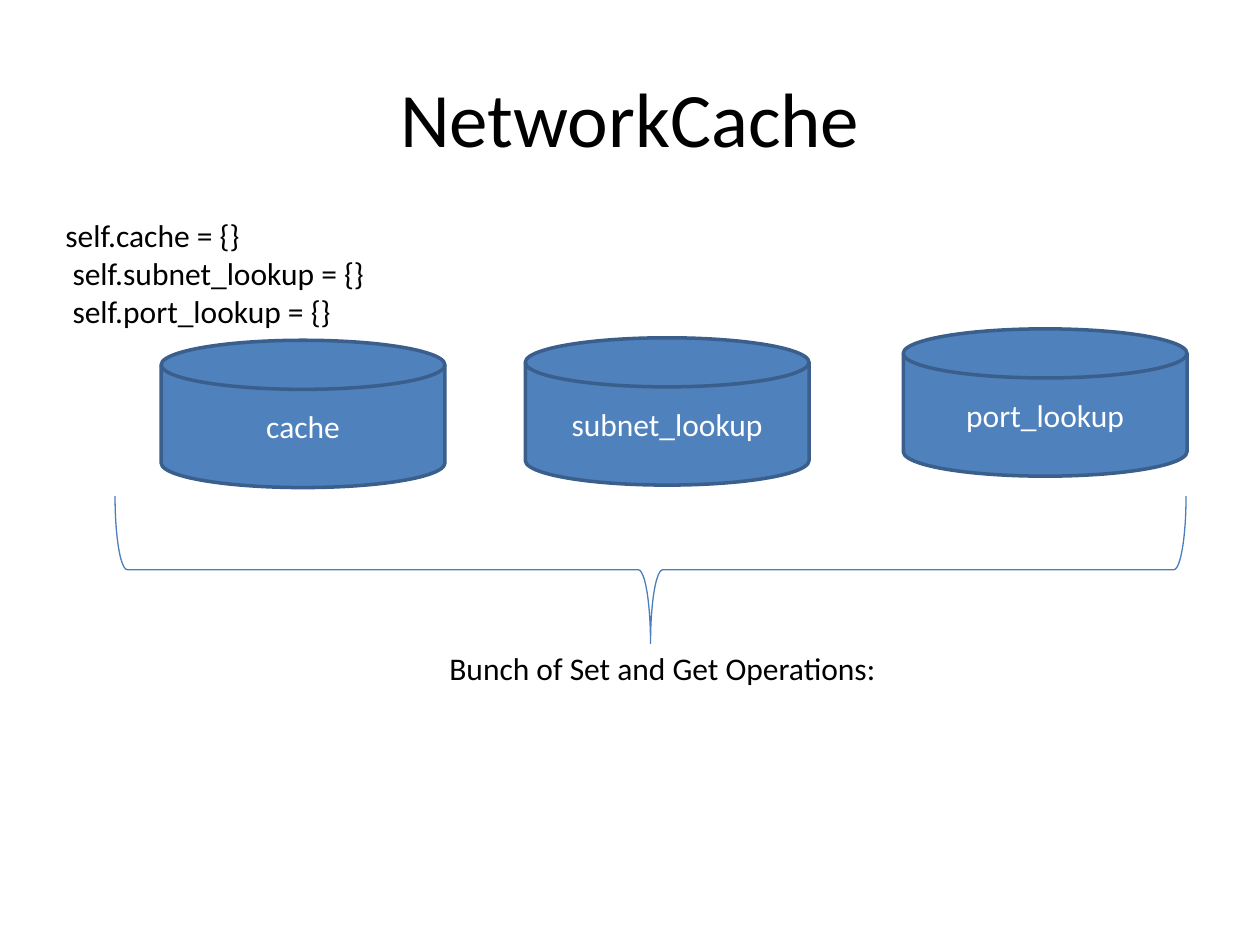
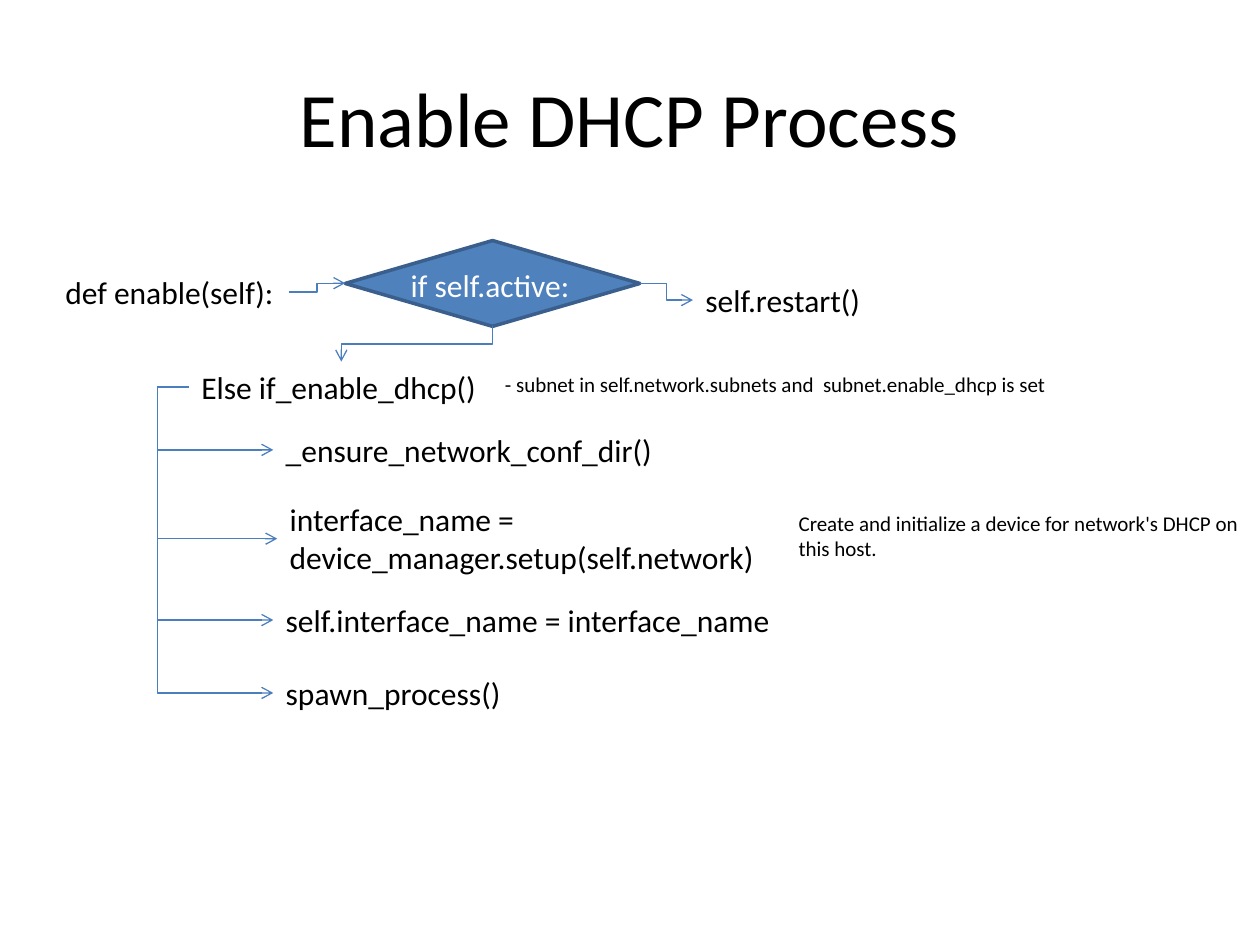
from lxml import etree
from pptx import Presentation
from pptx import util as u
from pptx.dml import color
from pptx.enum import shapes, text
from pptx.oxml import ns

WIDTH, HEIGHT = 25.4, 19.05
ROW = 1.02  # height of a one-line label
KIND = shapes.MSO_SHAPE


def tint(code):
    """Turn a hex string into a colour."""
    return color.RGBColor.from_string(code)


def apply(target, values):
    """Set each attribute named in a dict."""
    for name, value in values.items():
        setattr(target, name, value)


def child(parent, tag, **attrs):
    """Append an XML element with the given attributes."""
    return etree.SubElement(parent, ns.qn(tag), **attrs)


class Deck:
    """Holds the shared style and the current slide."""

    ink, white, fill, edge, wire = "000000", "FFFFFF", "4F81BD", "3A5F8C", "4B7EBC"
    face = "Calibri"

    def __init__(self):
        """Start an empty deck."""
        self.file = Presentation()
        apply(self.file, {"slide_width": u.Cm(WIDTH), "slide_height": u.Cm(HEIGHT)})

    def page(self, title):
        """Add a blank slide with its title."""
        self.slide = self.file.slides.add_slide(self.file.slide_layouts[6])
        self.place = self.slide.shapes
        box = self.place.add_textbox(*map(u.Cm, (1.27, 0.76, 22.86, 3.18)))
        self.letter(box, title, size=44, centre=True)

    def letter(self, shape, words, size=18, ink=ink, centre=False, **frame):
        """Fill a shape with styled text, one paragraph per line."""
        body = shape.text_frame
        middle = text.MSO_ANCHOR.MIDDLE if centre else text.MSO_ANCHOR.TOP
        apply(body, {"text": words, "word_wrap": True, "vertical_anchor": middle, **frame})
        for para in body.paragraphs:
            para.alignment = text.PP_ALIGN.CENTER if centre else text.PP_ALIGN.LEFT
            apply(para.font, {"size": u.Pt(size), "name": self.face})
            para.font.color.rgb = tint(ink)

    def label(self, words, x, y, w, h=ROW, wrap=False, **style):
        """Add a text box that grows with its text."""
        box = self.place.add_textbox(*map(u.Cm, (x, y, w, h)))
        self.letter(box, words, word_wrap=wrap,
                    auto_size=text.MSO_AUTO_SIZE.SHAPE_TO_FIT_TEXT, **style)

    def block(self, kind, x, y, w, h, words=""):
        """Add a filled shape with an optional centred caption."""
        shape = self.place.add_shape(kind, *map(u.Cm, (x, y, w, h)))
        shape.shadow.inherit = False
        shape.fill.solid()
        shape.fill.fore_color.rgb = tint(self.fill)
        shape.line.color.rgb = tint(self.edge)
        shape.line.width = u.Pt(2)
        if words:
            self.letter(shape, words, ink=self.white, centre=True)

    def brace(self, x, y, w, h):
        """Add a left brace turned to point down."""
        shape = self.place.add_shape(KIND.LEFT_BRACE, *map(u.Cm, (x, y, w, h)))
        shape.shadow.inherit = False
        shape.fill.background()
        shape.line.color.rgb = tint(self.wire)
        shape.line.width = u.Pt(0.75)
        shape.rotation = 270

    def arrow(self, x1, y1, x2, y2, bend=0.5, down=False):
        """Add an elbow arrow; down makes it leave and arrive upright."""
        if down:  # the same box, before a quarter turn about its centre
            midx, midy = (x1 + x2) / 2, (y1 + y2) / 2
            w, h = y2 - y1, x1 - x2
            x1, y1, x2, y2 = midx - w / 2, midy - h / 2, midx + w / 2, midy + h / 2
        line = self.place.add_connector(
            shapes.MSO_CONNECTOR.ELBOW, *map(u.Cm, (x1, y1, x2, y2)))
        line.line.color.rgb = tint(self.wire)
        line.line.width = u.Pt(0.75)
        props = line.element.spPr
        if down:
            props.find(ns.qn("a:xfrm")).set("rot", "5400000")
        guides = props.find(ns.qn("a:prstGeom")).find(ns.qn("a:avLst"))
        child(guides, "a:gd", name="adj1", fmla=f"val {round(bend * 100000)}")
        child(props.find(ns.qn("a:ln")), "a:tailEnd", type="arrow")
        child(props, "a:effectLst")


def cache(deck):
    """Draw the three stores and their shared operations."""
    deck.page("NetworkCache")
    deck.label("self.cache = {}\n self.subnet_lookup = {}\n self.port_lookup = {}",
               1.07, 4.24, 12.7, 2.57, wrap=True)
    for name, x, y in (("cache", 3.25, 6.86), ("subnet_lookup", 10.59, 6.81),
                       ("port_lookup", 18.21, 6.63)):
        deck.block(KIND.FLOWCHART_MAGNETIC_DISK, x, y, 5.72, 2.97, name)
    deck.brace(11.63, 0.69, 2.97, 21.59)
    deck.label("Bunch of Set and Get Operations:", 8.81, 12.95, 9.22)


def enable(deck):
    """Draw the decision and the steps that follow it."""
    deck.page("Enable DHCP Process")
    deck.label("def enable(self):", 1.07, 5.38, 4.78)
    deck.label("self.restart()", 13.97, 5.54, 3.81, wrap=True)
    stem, top = 3.81, 7.29
    deck.label("Else if_enable_dhcp()", stem, top, 6.12)

    steps = (("_ensure_network_conf_dir()", 5.51, 8.56, 7.98, ROW),
             ("interface_name = device_manager.setup(self.network)",
              5.59, 9.96, 10.26, 1.8),
             ("self.interface_name = interface_name", 5.51, 11.99, 10.39, ROW),
             ("spawn_process()", 5.51, 13.46, 4.9, ROW))
    for words, x, y, w, h in steps:
        deck.label(words, x, y, w, h, wrap=h > ROW)
        deck.arrow(stem, top + ROW / 2, x, y + h / 2, bend=-0.64 / (x - stem))

    deck.label("- subnet in self.network.subnets and  subnet.enable_dhcp is set",
               9.93, 7.37, 12.7, 0.76, wrap=True, size=12)
    deck.label("Create and initialize a device for network's DHCP on this host.",
               15.85, 10.16, 9.55, 1.27, wrap=True, size=12)

    deck.place = deck.slide.shapes.add_group_shape().shapes
    deck.block(KIND.FLOWCHART_DECISION, 6.96, 4.85, 5.94, 1.73)
    deck.label("if self.active:", 8.03, 5.23, 3.76, ink=deck.white)
    deck.place = deck.slide.shapes
    deck.arrow(5.82, 5.89, 6.96, 5.71)
    deck.arrow(12.9, 5.71, 13.97, 6.05)
    deck.arrow(9.93, 6.58, 6.88, top, down=True)


deck = Deck()
cache(deck)
enable(deck)
deck.file.save("out.pptx")
